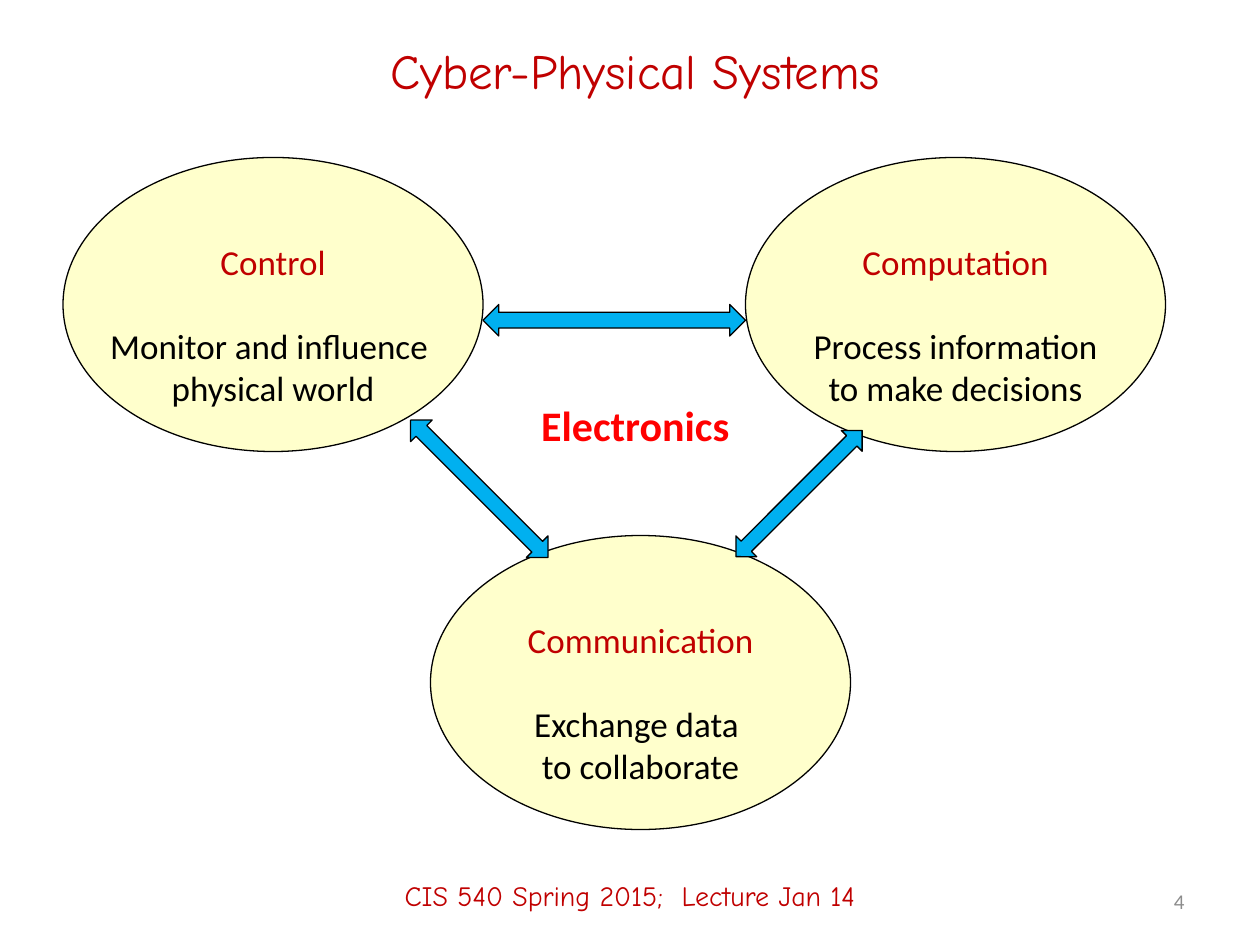
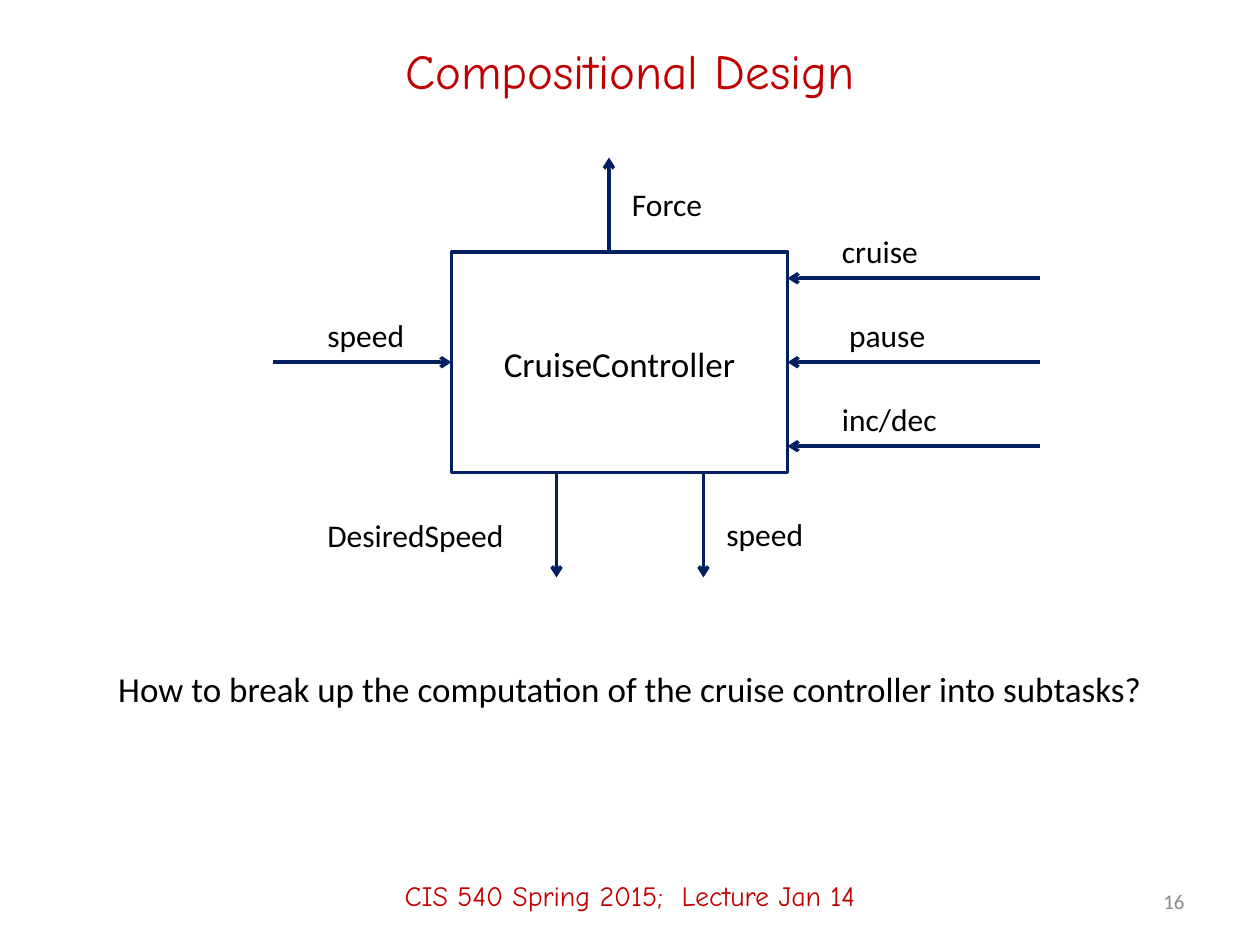
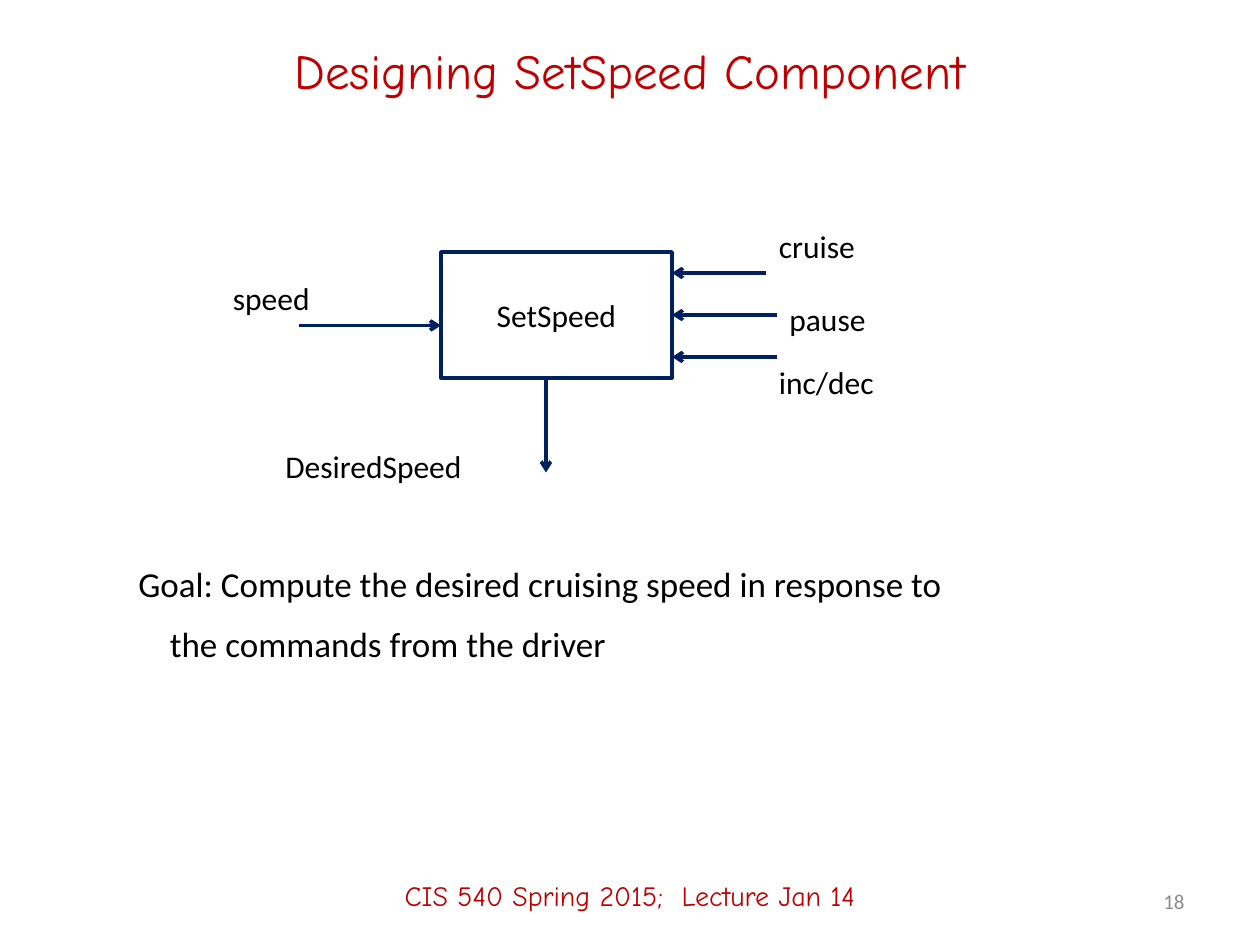
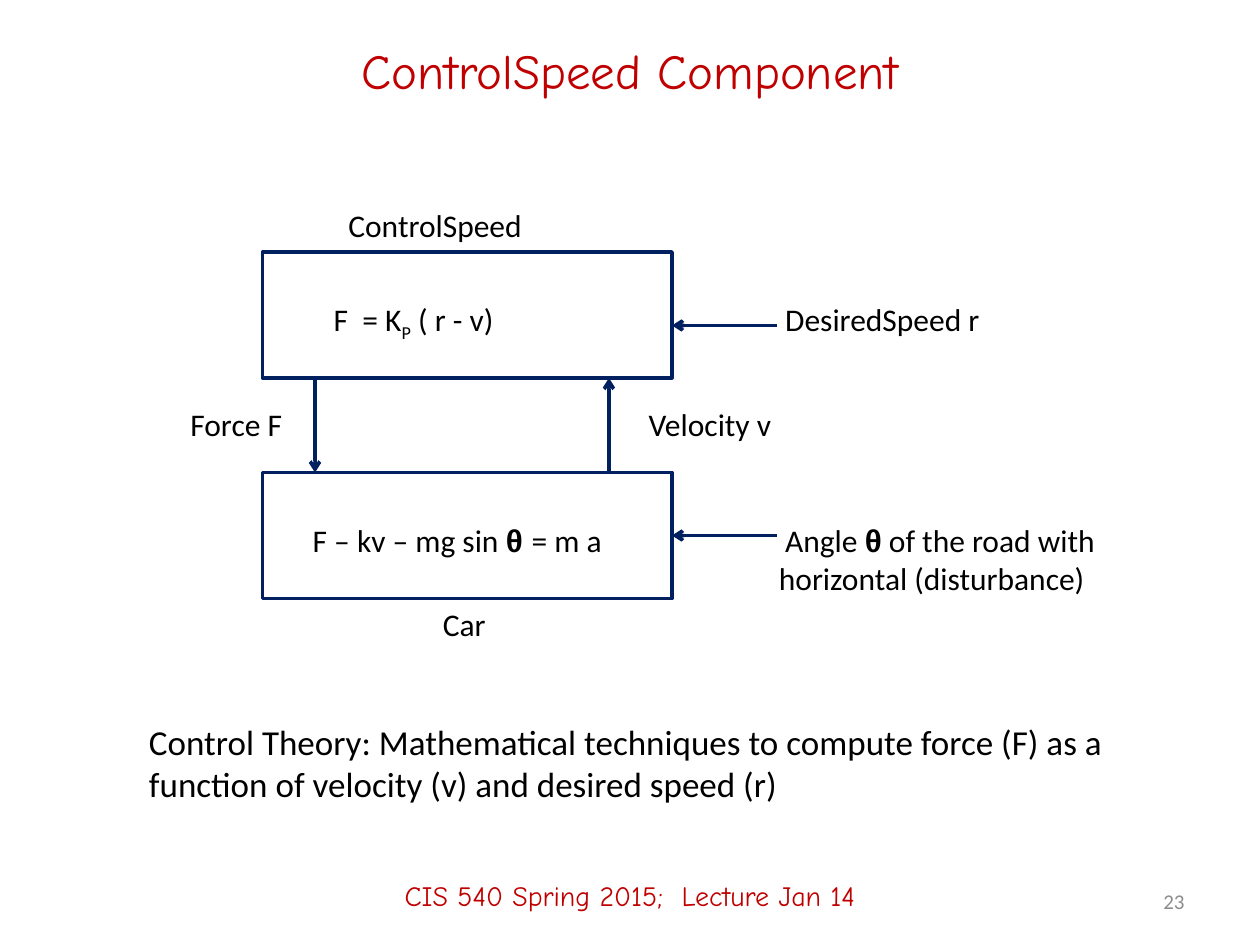
from lxml.etree import SubElement
from pptx import Presentation
from pptx.dml.color import RGBColor
from pptx.enum.shapes import MSO_CONNECTOR, MSO_SHAPE
from pptx.enum.text import MSO_ANCHOR, PP_ALIGN
from pptx.oxml.ns import qn
from pptx.util import Inches, Pt

COLORS = {"red": "C00000", "bright": "FF0000", "black": "000000", "gray": "8C8C8C",
          "navy": "002060", "cream": "FFFFCC", "sky": "00B0F0"}
ALIGN = {"l": PP_ALIGN.LEFT, "c": PP_ALIGN.CENTER, "r": PP_ALIGN.RIGHT}
BODY_FONT, TITLE_FONT = "Calibri", "Comic Neue"
COLUMNS, ROWS = 120, 90
FOOTER = "CIS 540 Spring 2015;  Lecture Jan 14"
THETA = {"font": "Arial", "bold": True}


def rgb(name):
    return RGBColor.from_string(COLORS[name])


def write(p, text, size=18, color="black", font=BODY_FONT, bold=False, baseline=0):
    r = p.add_run()
    r.text = text
    r.font.size = Pt(size)
    r.font.name = font
    r.font.bold = bold
    r.font.color.rgb = rgb(color)
    if baseline:
        r.font._element.set("baseline", str(baseline * 1000))


class Deck:
    def __init__(self):
        self.prs = Presentation()
        self.prs.slide_width, self.prs.slide_height = Inches(10), Inches(7.5)
        self.s = None

    def x(self, columns):
        return round(self.prs.slide_width * columns / COLUMNS)

    def y(self, rows):
        return round(self.prs.slide_height * rows / ROWS)

    def frame(self, left, top, width, height):
        return self.x(left), self.y(top), self.x(width), self.y(height)

    def slide(self, title, number, left=6, width=108):
        self.s = self.prs.slides.add_slide(self.prs.slide_layouts[5])
        sp = self.s.shapes.title
        sp.left, sp.top, sp.width, sp.height = self.frame(left, 2, width, 9.4)
        tf = sp.text_frame
        tf.vertical_anchor = MSO_ANCHOR.MIDDLE
        p = tf.paragraphs[0]
        p.alignment = ALIGN["c"]
        write(p, title, size=28, color="red", font=TITLE_FONT)
        self.text(FOOTER, 0, 80.6, 120, 9.4, align="c", middle=True,
                  size=16, color="red", font=TITLE_FONT)
        self.text(str(number), 86, 83.4, 28, 4.8, align="r", middle=True,
                  size=12, color="gray")

    def text(self, content, left, top, width=15, height=5, align="l", middle=False, **fmt):
        tf = self.s.shapes.add_textbox(*self.frame(left, top, width, height)).text_frame
        tf.word_wrap = True
        tf.vertical_anchor = MSO_ANCHOR.MIDDLE if middle else MSO_ANCHOR.TOP
        p = tf.paragraphs[0]
        p.alignment = ALIGN[align]
        for run, extra in [(content, {})] if isinstance(content, str) else content:
            write(p, run, **{**fmt, **extra})
        return tf

    def add_line(self, tf, content, before=0, indent=0, **fmt):
        p = tf.add_paragraph()
        p.alignment = tf.paragraphs[0].alignment
        p.space_before = Pt(before)
        if indent:
            p._p.get_or_add_pPr().set("marL", str(self.x(indent)))
        write(p, content, **fmt)

    def shape(self, kind, left, top, width, height, fill=None, line="black",
              weight=0.75, rotation=0):
        sp = self.s.shapes.add_shape(kind, *self.frame(left, top, width, height))
        sp.shadow.inherit = False
        sp.rotation = rotation
        if fill:
            sp.fill.solid()
            sp.fill.fore_color.rgb = rgb(fill)
        else:
            sp.fill.background()
        sp.line.color.rgb = rgb(line)
        sp.line.width = Pt(weight)

    def block(self, left, top, width, height):
        self.shape(MSO_SHAPE.RECTANGLE, left, top, width, height, line="navy", weight=2)

    def double_arrow(self, left, top, width, height, rotation=0):
        self.shape(MSO_SHAPE.LEFT_RIGHT_ARROW, left, top, width, height,
                   fill="sky", rotation=rotation)

    def arrow(self, x1, y1, x2, y2):
        c = self.s.shapes.add_connector(MSO_CONNECTOR.STRAIGHT, self.x(x1), self.y(y1),
                                        self.x(x2), self.y(y2))
        c.line.color.rgb = rgb("navy")
        c.line.width = Pt(2)
        SubElement(c.line._get_or_add_ln(), qn("a:tailEnd"), type="arrow")
        SubElement(c._element.spPr, qn("a:effectLst"))

    def bubble(self, left, top, heading, first, second):
        self.shape(MSO_SHAPE.OVAL, left, top, 40, 28, fill="cream")
        tf = self.text(heading, left, top + 7.3, 40, 17.4, align="c", size=20, color="red")
        self.add_line(tf, first, before=24, size=20)
        self.add_line(tf, second, size=20)


def systems(d):
    d.slide("Cyber-Physical Systems", 4, left=9, width=103)
    d.bubble(6, 15, "Control", "Monitor and influence ", "physical world")
    d.bubble(71, 15, "Computation", "Process information", "to make decisions")
    d.bubble(41, 51, "Communication", "Exchange data ", "to collaborate")
    d.double_arrow(46, 29, 25, 3)
    d.double_arrow(36.4, 45.1, 18.5, 2.9, rotation=45)
    d.double_arrow(67.6, 45.6, 17, 2.8, rotation=315)
    d.text("Electronics", 49.5, 37.5, 22, 6, align="c", size=24, color="bright", bold=True)


def compositional(d):
    d.slide("Compositional Design", 16)
    d.block(43, 24, 32, 21)
    d.text("CruiseController", 43, 32, 32, align="c", size=20)
    inputs = [("cruise", 79, 15, "l"), ("pause", 75, 19, "c"), ("inc/dec", 79, 15, "l")]
    for i, (name, left, width, align) in enumerate(inputs):
        row = 26.5 + 8 * i
        d.arrow(99, row, 75, row)
        d.text(name, left, row - 5, width, align=align)
    d.arrow(26, 34.5, 43, 34.5)
    d.text("speed", 30, 29.5)
    for column in (53, 67):
        d.arrow(column, 45, column, 55)
    d.text("DesiredSpeed", 30, 48.6, 24)
    d.text("speed", 68, 48.5)
    d.arrow(58, 24, 58, 15)
    d.text("Force", 59, 17)
    d.text("How to break up the computation of the cruise controller into subtasks?",
           8, 63, 104, align="c", size=20)


def set_speed(d):
    d.slide("Designing SetSpeed Component", 18)
    d.block(42, 24, 22, 12)
    d.text("SetSpeed", 44, 27.6, 18, align="c")
    inputs = [("cruise", 73, 21, 73), ("pause", 74, 28, 74), ("inc/dec", 73, 34, 74)]
    for i, (name, left, top, start) in enumerate(inputs):
        row = 26 + 4 * i
        d.arrow(start, row, 64, row)
        d.text(name, left, top)
    d.arrow(28.5, 31, 42, 31)
    d.text("speed", 21, 26)
    d.arrow(52, 36, 52, 45)
    d.text("DesiredSpeed", 26, 42, 24)
    tf = d.text("Goal: Compute the desired cruising speed in response to", 12, 53, 95, 11.3, size=20)
    d.add_line(tf, "the commands from the driver", before=10, indent=3, size=20)


def control_speed(d):
    d.slide("ControlSpeed Component", 23)
    for top in (24, 45):
        d.block(25, top, 39, 12)
    d.text("ControlSpeed", 32, 19, 22)
    d.text("Car", 41, 57, 18)
    d.text([("F  = K", {}), ("P", {"baseline": -25}), (" ( r - v)", {})], 30.6, 28, 26)
    d.text([("F – kv – mg sin ", {}), ("θ ", THETA), ("= m a", {})], 28.6, 49, 36)
    for row in (31, 51):
        d.arrow(74, row, 64, row)
    d.text("DesiredSpeed r", 73.6, 28, 27)
    tf = d.text([("Angle ", {}), ("θ", THETA), (" of the road with horizontal (disturbance)", {})],
                73, 49, 40, 8.5)
    tf.paragraphs[0]._p.get_or_add_pPr().set("indent", str(d.x(0.6)))
    d.arrow(30, 36, 30, 45)
    d.text("Force F", 13, 38, 19, align="c")
    d.arrow(58, 45, 58, 36)
    d.text("Velocity v", 60.6, 38, 27)
    d.text("Control Theory: Mathematical techniques to compute force (F) as a function of "
           "velocity (v) and desired speed (r)", 13, 68, 100, 9.3, size=20)


def main():
    d = Deck()
    for build in (systems, compositional, set_speed, control_speed):
        build(d)
    d.prs.save("out.pptx")


if __name__ == "__main__":
    main()
